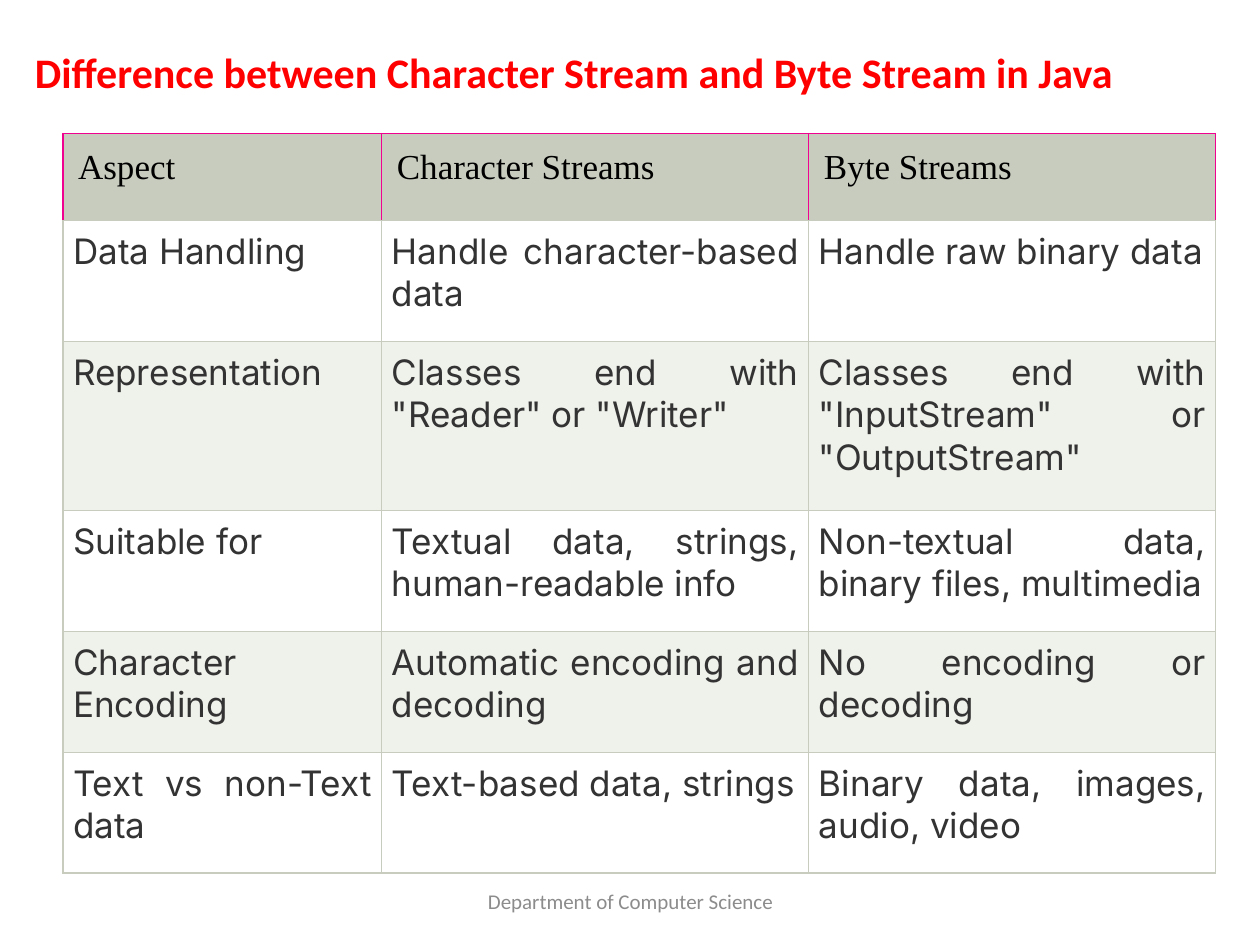
import pptx
import pptx.dml.color
import pptx.enum.text
import pptx.oxml
import pptx.oxml.ns
import pptx.util

ALIGN = pptx.enum.text.PP_ALIGN
ANCHOR = pptx.enum.text.MSO_ANCHOR

SAGE, PALE, WHITE, PINK = "C7CCBE", "EFF1EB", "FFFFFF", "F0018F"


def color(hex_code):
    return pptx.dml.color.RGBColor.from_string(hex_code)


class Page:
    """Holds the current slide and a grid of 100 columns by 75 rows."""

    COLUMNS, ROWS = 100, 75
    HEADER = dict(size=20, font="Times New Roman", ink="000000")
    BODY = dict(size=20, font="Inter", ink="333333", align=ALIGN.JUSTIFY)

    def __init__(self, deck):
        self.unit_x = deck.slide_width / self.COLUMNS
        self.unit_y = deck.slide_height / self.ROWS
        self.slide = deck.slides.add_slide(deck.slide_layouts[6])

    def x(self, columns):
        return pptx.util.Emu(round(columns * self.unit_x))

    def y(self, rows):
        return pptx.util.Emu(round(rows * self.unit_y))

    def area(self, left, top, width, height):
        return self.x(left), self.y(top), self.x(width), self.y(height)

    def add_wording(self, frame, wording, size, font, ink, bold=False, align=ALIGN.LEFT):
        paragraph = frame.paragraphs[0]
        paragraph.alignment = align
        run = paragraph.add_run()
        run.text = wording
        run.font.size = pptx.util.Pt(size)
        run.font.name = font
        run.font.bold = bold
        run.font.color.rgb = color(ink)

    def label(self, wording, area, **style):
        frame = self.slide.shapes.add_textbox(*self.area(*area)).text_frame
        frame.word_wrap = True
        frame.vertical_anchor = ANCHOR.MIDDLE
        self.add_wording(frame, wording, align=ALIGN.CENTER, **style)

    def borders(self, cell, left, right, top, bottom):
        properties = cell._tc.get_or_add_tcPr()
        sides = zip("LRTB", (left, right, top, bottom))
        for position, (side, ink) in enumerate(sides):
            properties.insert(position, pptx.oxml.parse_xml(
                f'<a:ln{side} {pptx.oxml.ns.nsdecls("a")} w="9525">'
                f'<a:solidFill><a:srgbClr val="{ink}"/></a:solidFill></a:ln{side}>'))

    def cell(self, cell, wording, fill, inset, edges, style):
        cell.margin_left = cell.margin_right = self.x(inset)
        cell.margin_top = cell.margin_bottom = self.y(inset)
        cell.fill.solid()
        cell.fill.fore_color.rgb = color(fill)
        self.borders(cell, *edges)
        self.add_wording(cell.text_frame, wording, **style)

    def table(self, left, top, widths, heights, records):
        area = self.area(left, top, sum(widths), sum(heights))
        grid = self.slide.shapes.add_table(len(heights), len(widths), *area).table
        for column, width in zip(grid.columns, widths):
            column.width = self.x(width)
        for row, height in zip(grid.rows, heights):
            row.height = self.y(height)
        for r, record in enumerate(records):
            for c, wording in enumerate(record):
                if r == 0:
                    look = SAGE, 1.2, (PINK, PINK, PINK, SAGE), self.HEADER
                else:
                    look = (WHITE if r % 2 else PALE), 0.8, (SAGE,) * 4, self.BODY
                self.cell(grid.cell(r, c), wording, *look)


COMPARISON = [
    ("Aspect", "Character Streams", "Byte Streams"),
    ("Data Handling", "Handle character-based data", "Handle raw binary data"),
    ("Representation", 'Classes end with "Reader" or "Writer"',
     'Classes end with "InputStream" or "OutputStream"'),
    ("Suitable for", "Textual data, strings, human-readable info",
     "Non-textual data, binary files, multimedia"),
    ("Character Encoding", "Automatic encoding and decoding",
     "No encoding or decoding"),
    ("Text vs non-Text data", "Text-based data, strings",
     "Binary data, images, audio, video"),
]


def main():
    deck = pptx.Presentation()
    deck.slide_width = pptx.util.Inches(10)
    deck.slide_height = pptx.util.Inches(7.5)
    page = Page(deck)

    # Title
    page.label("Difference between Character Stream and Byte Stream in Java",
               (0.9, 3, 89.3, 5.4), size=24, font="Calibri", ink="FF0000", bold=True)

    # Comparison table
    page.table(5, 10.6, (25.3, 33.9, 32.3), (6.9, 9.6, 13.4, 9.6, 9.6, 9.6),
               COMPARISON)

    # Footer
    page.label("Department of Computer Science", (34.2, 69.5, 31.7, 4),
               size=12, font="Calibri", ink="8C8C8C")

    deck.save("out.pptx")


if __name__ == "__main__":
    main()
